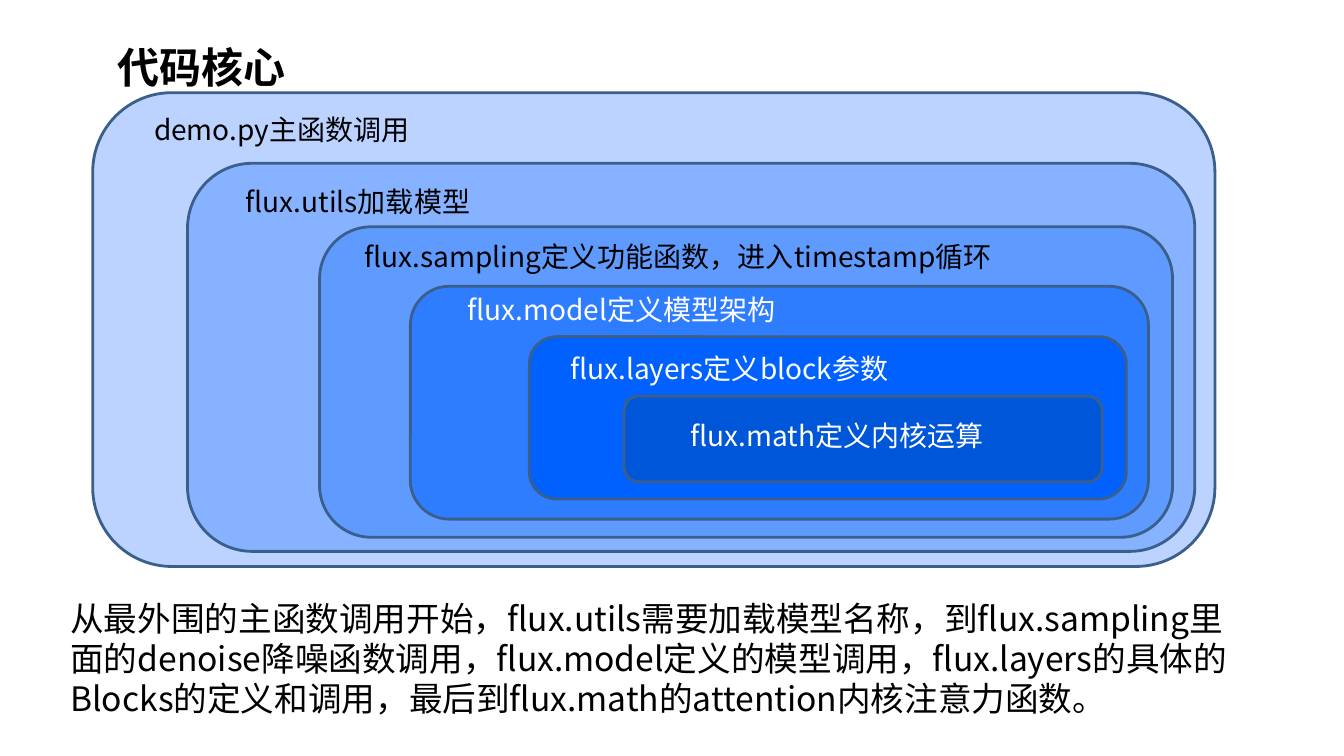
from lxml import etree
from pptx import Presentation
from pptx.dml.color import RGBColor
from pptx.enum.shapes import MSO_SHAPE as Shape
from pptx.enum.text import MSO_ANCHOR as Anchor
from pptx.oxml.ns import qn
from pptx.util import Inches, Pt

FONT = "Noto Sans CJK SC"
BLACK, WHITE, OUTLINE = "000000", "FFFFFF", "3A5F8C"

TITLE = "代码核心"
SUMMARY = (
    "从最外围的主函数调用开始，flux.utils需要加载模型名称，到flux.sampling"
    "里面的denoise降噪函数调用，flux.model定义的模型调用，flux.layers的"
    "具体的Blocks的定义和调用，最后到flux.math的attention内核注意力函数。"
)
# Outermost first: box, fill, label, label box, label colour
LAYERS = [
    ((0.92, 0.92, 11.13, 4.7), "BDD3FF",
     "demo.py主函数调用", (1.43, 1.07, 4.44, 0.44), BLACK),
    ((1.86, 1.62, 9.99, 3.85), "87B2FF",
     "flux.utils加载模型", (2.34, 1.78, 4.44, 0.44), BLACK),
    ((3.17, 2.25, 8.46, 3.08), "5F9BFF",
     "flux.sampling定义功能函数，进入timestamp循环", (3.52, 2.33, 7.81, 0.44), BLACK),
    ((4.07, 2.84, 7.32, 2.31), "2F7DFF",
     "flux.model定义模型架构", (4.54, 2.85, 7.81, 0.44), WHITE),
    ((5.25, 3.34, 5.92, 1.61), "0161FF",
     "flux.layers定义block参数", (5.56, 3.44, 3.65, 0.44), WHITE),
    ((6.19, 3.93, 4.74, 0.85), "0056D8",
     "flux.math定义内核运算", (6.75, 4.1, 3.65, 0.44), WHITE),
]


def color(value):
    return RGBColor.from_string(value)


def add_text(slide, text, box, size, text_color=BLACK, bold=False,
             anchor=Anchor.TOP, line_spacing=None):
    frame = slide.shapes.add_textbox(*map(Inches, box)).text_frame
    frame.word_wrap = True
    frame.vertical_anchor = anchor
    paragraph = frame.paragraphs[0]
    paragraph.line_spacing = line_spacing
    run = paragraph.add_run()
    run.text = text
    font = run.font
    font.name, font.size, font.bold = FONT, Pt(size), bold
    font.color.rgb = color(text_color)
    east_asian = etree.SubElement(run._r.get_or_add_rPr(), qn("a:ea"))
    east_asian.set("typeface", FONT)


def add_layer(slide, box, fill):
    shape = slide.shapes.add_shape(Shape.ROUNDED_RECTANGLE, *map(Inches, box))
    shape.shadow.inherit = False
    shape.fill.solid()
    shape.fill.fore_color.rgb = color(fill)
    shape.line.color.rgb = color(OUTLINE)
    shape.line.width = Pt(2)


def main():
    presentation = Presentation()
    presentation.slide_width = Inches(13.33)
    presentation.slide_height = Inches(7.5)
    slide = presentation.slides.add_slide(presentation.slide_layouts[6])

    add_text(slide, TITLE, (1.07, 0.11, 10.25, 0.86), 30, bold=True,
             anchor=Anchor.MIDDLE, line_spacing=1.5)
    add_text(slide, SUMMARY, (0.6, 5.88, 11.76, 1.31), 24)
    for box, fill, *_ in LAYERS:
        add_layer(slide, box, fill)
    for _, _, label, label_box, label_color in LAYERS:
        add_text(slide, label, label_box, 20, label_color)

    presentation.save("out.pptx")


if __name__ == "__main__":
    main()
